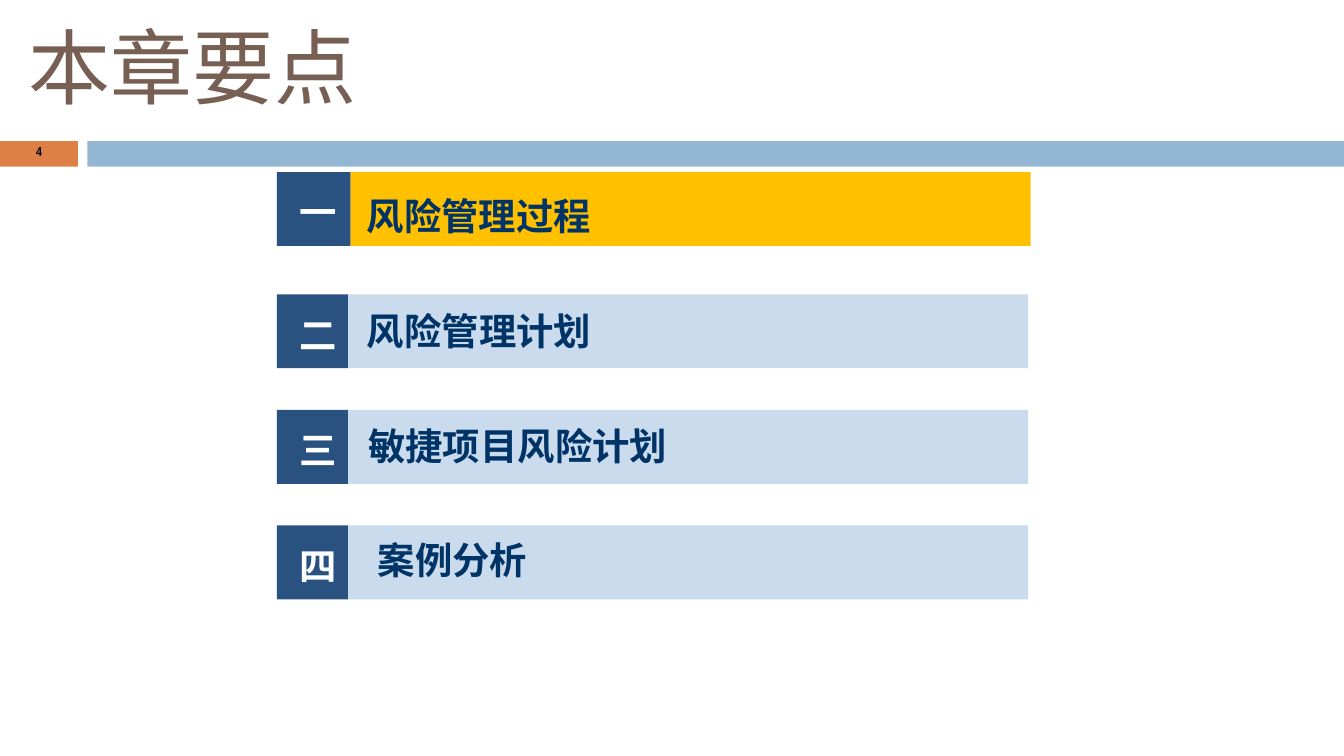
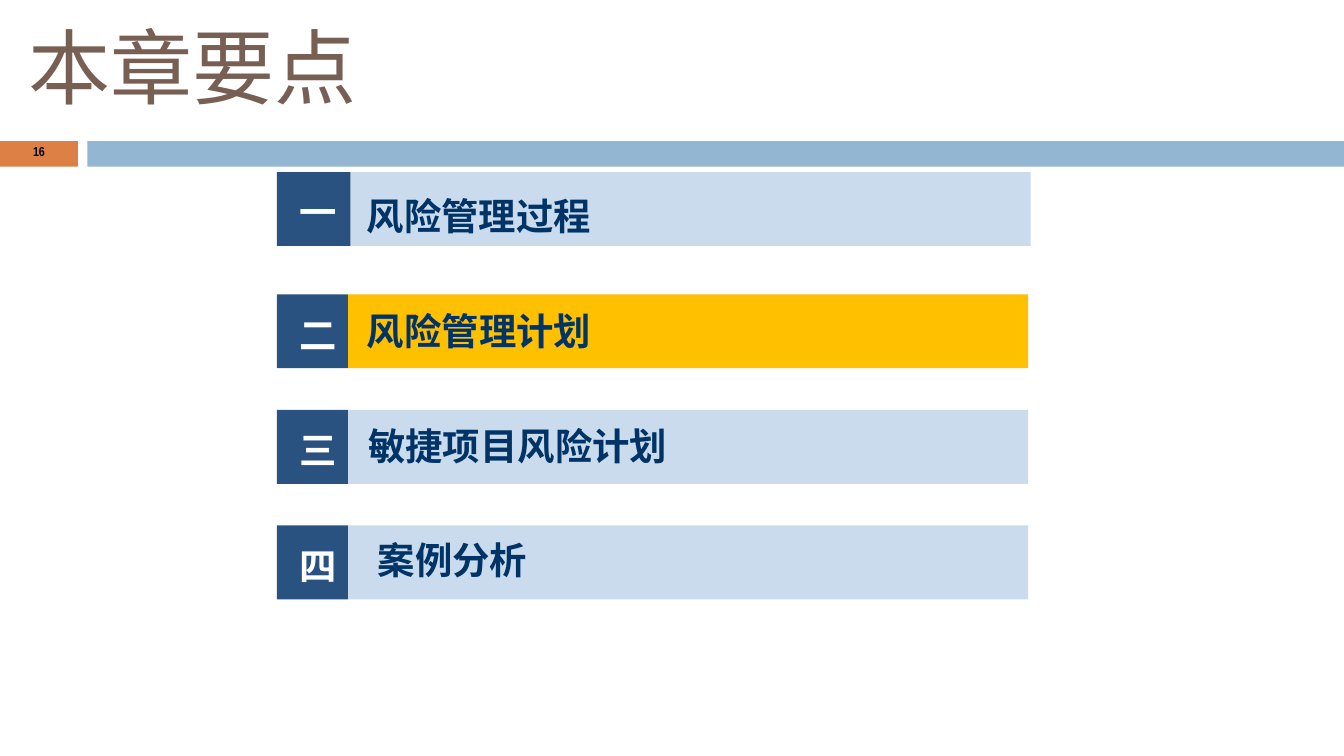
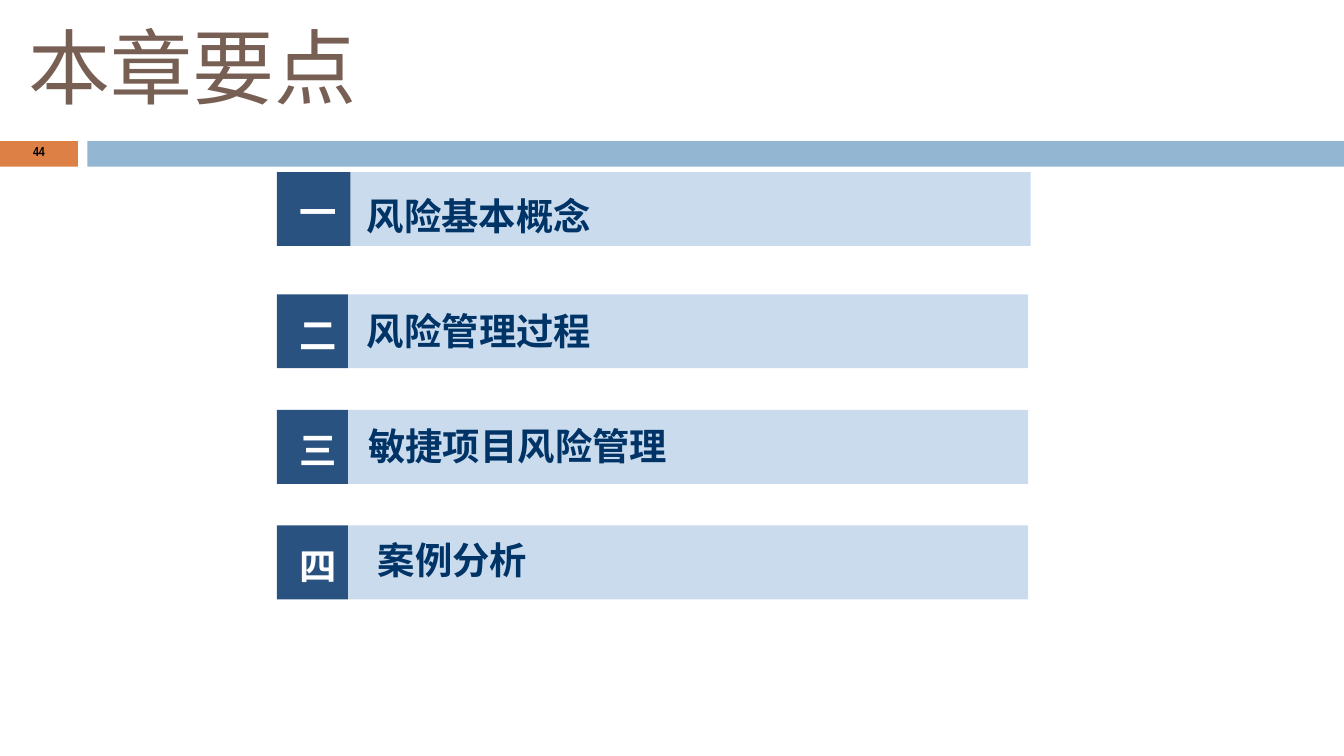
from pptx import Presentation
from pptx.dml.color import RGBColor
from pptx.enum.shapes import MSO_SHAPE
from pptx.enum.text import MSO_ANCHOR, MSO_AUTO_SIZE, PP_ALIGN
from pptx.oxml.ns import qn
from pptx.util import Inches, Pt

RECT = MSO_SHAPE.RECTANGLE
TOP = MSO_ANCHOR.TOP
FIXED = MSO_AUTO_SIZE.NONE
LEFT, CENTER = PP_ALIGN.LEFT, PP_ALIGN.CENTER

COLORS = {
    "band": "93B6D2", "page": "DD8046", "title": "775F54", "tag": "2A5280",
    "bar": "C9DBED", "focus": "FFC000", "label": "003366",
    "white": "FFFFFF", "black": "000000",
}
SANS, NARROW = "Noto Sans CJK SC", "Arial Narrow"

# Text styles: font attributes and colour
STYLES = {
    "title": ({"name": SANS, "size": Pt(44), "bold": False}, "title"),
    "page": ({"name": NARROW, "size": Pt(7), "bold": True}, "black"),
    "tag": ({"name": SANS, "size": Pt(20), "bold": True}, "white"),
    "label": ({"name": SANS, "size": Pt(20), "bold": True}, "label"),
}

# A 16:9 slide on a grid of square cells, 1000 to its width
WIDTH = Inches(10)
HEIGHT = WIDTH * 9 // 16
COLS = 1000
CELL = WIDTH // COLS
TITLE_BOX = (20, 11, 248, 76)
BAND_BOX = (0, 105, COLS, 19)
LIST_BOX = (206, 128, 561, 318)

# Agenda rows: number, tag width, then label inset and indent
ITEMS = [("一", 55, 16, 12), ("二", 53, 10, 14),
         ("三", 53, 10, 15), ("四", 53, 9, 22)]
ROW_H, BAR_W, LEAD, PITCH = 55, 506, 91, 86

TITLE = "本章要点"
PLAN = ["风险管理过程", "风险管理计划", "敏捷项目风险计划", "案例分析"]
RECAP = ["风险基本概念", "风险管理过程", "敏捷项目风险管理", "案例分析"]
# Page number, labels, highlighted row
SLIDES = [("4", PLAN, 0), ("16", PLAN, 1), ("44", RECAP, None)]


def color(key):
    return RGBColor.from_string(COLORS[key])


def write(shape, text, style, inset, indent=0, align=LEFT):
    frame = shape.text_frame
    form = {"margin_left": 0, "margin_right": 0, "margin_bottom": 0,
            "margin_top": inset * CELL, "word_wrap": True,
            "auto_size": FIXED, "vertical_anchor": TOP}
    for key, value in form.items():
        setattr(frame, key, value)
    para = frame.paragraphs[0]
    para.alignment = align
    props = para._p.get_or_add_pPr()
    props.set("marL", str(indent * CELL))
    props.set("indent", "0")
    run = para.add_run()
    run.text = text
    font, ink = STYLES[style]
    for key, value in font.items():
        setattr(run.font, key, value)
    run.font.color.rgb = color(ink)
    # East Asian glyphs use the same typeface
    marks = run._r.get_or_add_rPr()
    east = marks.makeelement(qn("a:ea"), {"typeface": font["name"]})
    marks.find(qn("a:latin")).addnext(east)


def block(slide, box, fill):
    shape = slide.shapes.add_shape(RECT, *(n * CELL for n in box))
    shape.shadow.inherit = False
    shape.fill.solid()
    shape.fill.fore_color.rgb = color(fill)
    shape.line.fill.background()
    return shape


def head(slide, box):
    title = slide.shapes.title
    for key, cells in zip(("left", "top", "width", "height"), box):
        setattr(title, key, cells * CELL)
    write(title, TITLE, "title", 1, 1)


def band(slide, box, page):
    x, y, w, h = box
    block(slide, (x + 65, y, w - 65, h), "band")
    number = block(slide, (x, y, 58, h), "page")
    write(number, page, "page", 2, align=CENTER)


def agenda(slide, box, labels, focus):
    x, y = box[:2]
    for i, ((mark, wide, inset, indent), label) in enumerate(zip(ITEMS, labels)):
        top = y + (LEAD + PITCH * (i - 1) if i else 0)
        tag = block(slide, (x, top, wide, ROW_H), "tag")
        write(tag, mark, "tag", 13, 17)
        fill = "focus" if i == focus else "bar"
        bar = block(slide, (x + wide, top, BAR_W, ROW_H), fill)
        write(bar, label, "label", inset, indent)


def main():
    deck = Presentation()
    deck.slide_width, deck.slide_height = WIDTH, HEIGHT
    layout = deck.slide_layouts.get_by_name("Title Only")
    for page, labels, focus in SLIDES:
        slide = deck.slides.add_slide(layout)
        head(slide, TITLE_BOX)
        band(slide, BAND_BOX, page)
        agenda(slide, LIST_BOX, labels, focus)
    deck.save("out.pptx")


if __name__ == "__main__":
    main()
